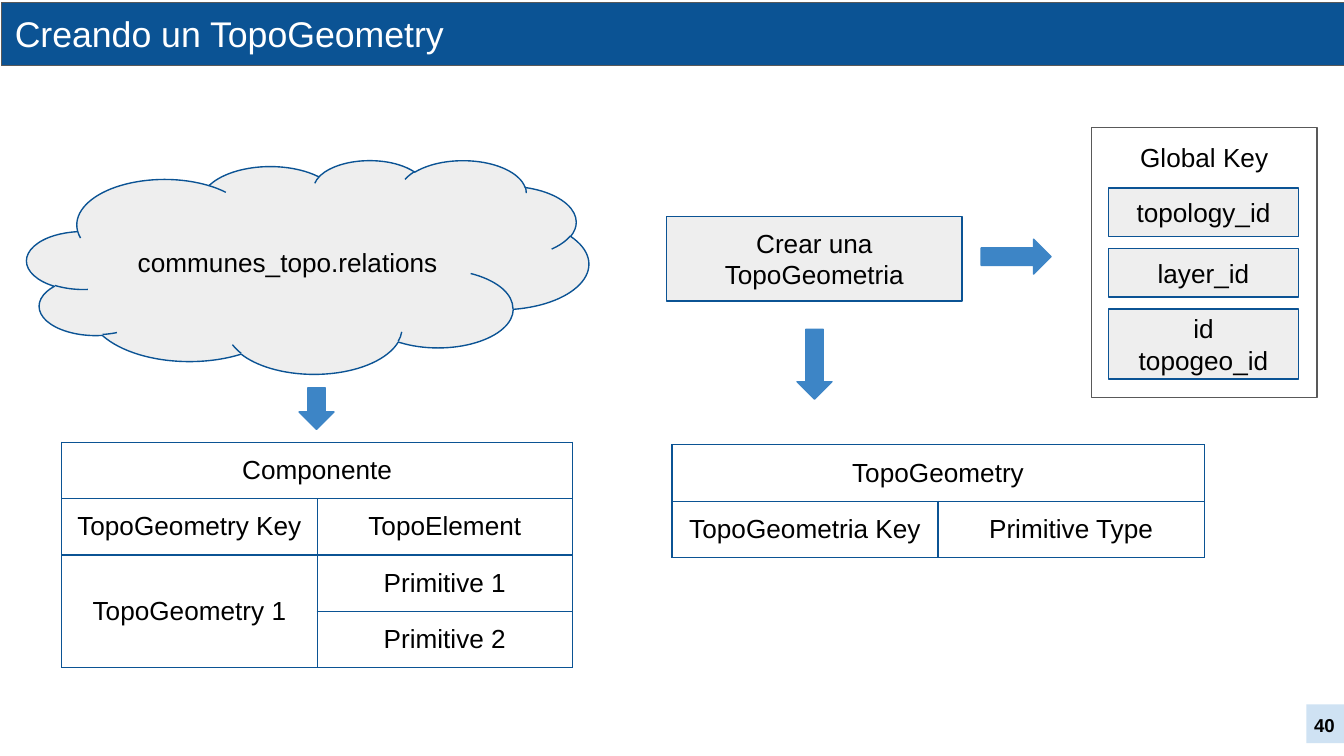
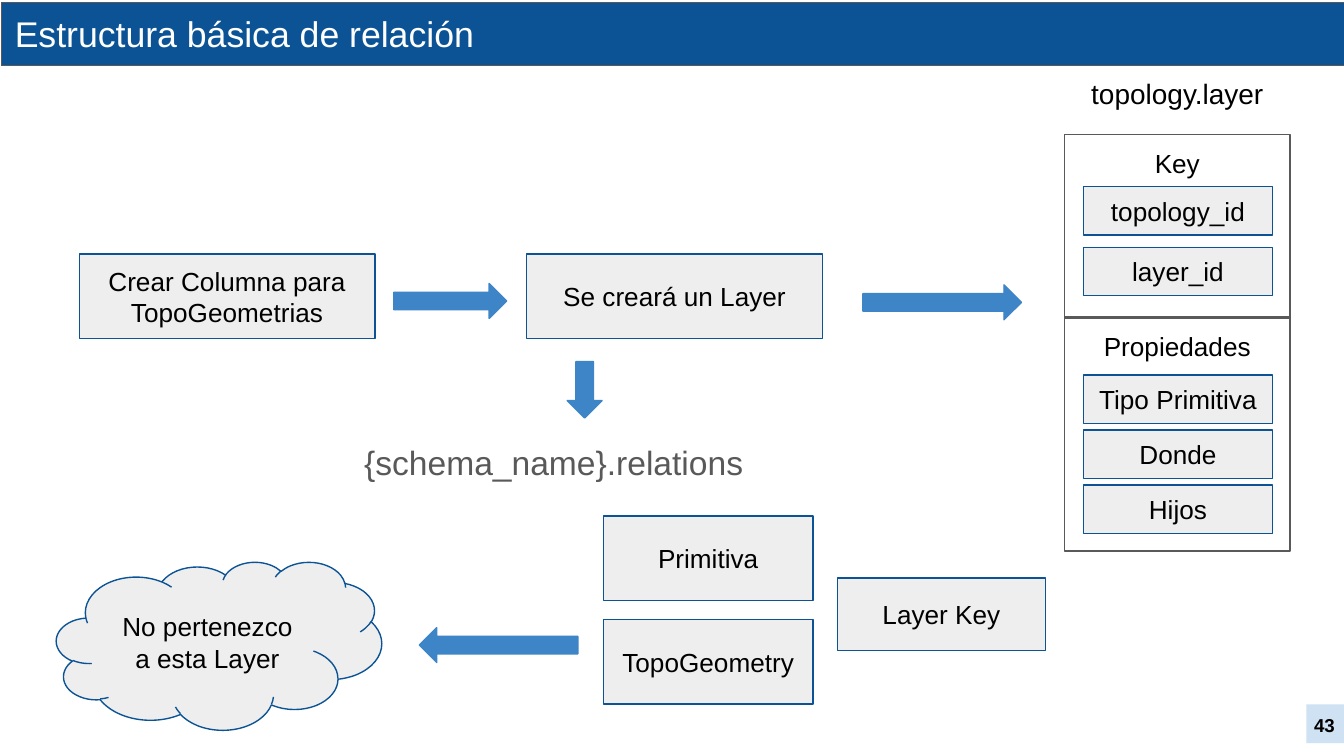
from lxml.etree import SubElement
from pptx import Presentation
from pptx.dml.color import RGBColor
from pptx.enum.shapes import MSO_SHAPE
from pptx.enum.text import MSO_ANCHOR, PP_ALIGN
from pptx.oxml.ns import qn
from pptx.util import Inches, Pt

HUES = {
    "navy": "0B5394", "blue": "3D85C6", "pale": "CFE2F3", "light": "EEEEEE",
    "gray": "595959", "black": "000000", "white": "FFFFFF",
}
SIDES = ("left", "top", "right", "bottom")
INSETS = {f"margin_{side}": Inches(0.1) for side in SIDES}
TOP, MID = MSO_ANCHOR.TOP, MSO_ANCHOR.MIDDLE

# kind: preset, fill, line, anchor
KINDS = {
    "frame": (MSO_SHAPE.RECTANGLE, None, "gray", TOP),
    "box": (MSO_SHAPE.RECTANGLE, "light", "navy", MID),
    "cloud": (MSO_SHAPE.CLOUD, "light", "navy", MID),
    "arrow": (MSO_SHAPE.RIGHT_ARROW, "blue", "blue", MID),
    "band": (MSO_SHAPE.RECTANGLE, "navy", "gray", MID),
    "tab": (MSO_SHAPE.RECTANGLE, "pale", None, MID),
    "label": (None, None, None, TOP),
    "page": (None, None, None, MID),
}


def write(host, frame, text, anchor=MID, size=14, hue="black",
          align=PP_ALIGN.CENTER, bold=False):
    """Fill frame with text; host (a cell or the frame) holds insets and anchor."""
    for name, value in {**INSETS, "vertical_anchor": anchor}.items():
        setattr(host, name, value)
    frame.text = text
    for para in frame.paragraphs:
        para.alignment = align
        for name, value in {"name": "Arial", "size": Pt(size), "bold": bold}.items():
            setattr(para.font, name, value)
        para.font.color.rgb = RGBColor.from_string(HUES[hue])


def draw(slide, kind, at, text="", turn=0, **style):
    preset, fill, line, anchor = KINDS[kind]
    area = [Inches(n) for n in at]
    if preset is None:
        shape = slide.shapes.add_textbox(*area)
    else:
        shape = slide.shapes.add_shape(preset, *area)
        shape.shadow.inherit = False
        shape.rotation = turn
        for part, hue in ((shape.fill, fill), (shape.line.fill, line)):
            if hue:
                part.solid()
                part.fore_color.rgb = RGBColor.from_string(HUES[hue])
            else:
                part.background()
        if line:
            shape.line.width = Pt(0.75)
    if text:
        shape.text_frame.word_wrap = True
        write(shape.text_frame, shape.text_frame, text, anchor, **style)


# Each item: kind, place, text, turn, text style
make = [
    ("frame", (8.12, 0.95, 1.68, 2.01), "Global Key", 0, {}),
    ("box", (4.96, 1.61, 2.2, 0.63), "Crear una TopoGeometria", 0, {}),
    ("cloud", (0.2, 1.19, 4.18, 1.59), "communes_topo.relations", 0, {}),
    ("box", (8.25, 2.3, 1.41, 0.52), "id\ntopogeo_id", 0, {}),
    ("arrow", (7.3, 1.78, 0.52, 0.26), "", 0, {}),
    ("arrow", (5.8, 2.58, 0.52, 0.26), "", 90, {}),
    ("arrow", (2.2, 2.91, 0.31, 0.26), "", 90, {}),
]
make += [("box", (8.25, 1.4 + 0.45 * i, 1.41, 0.36), text, 0, {})
         for i, text in enumerate(("topology_id", "layer_id"))]

base = [
    ("frame", (7.92, 1, 1.68, 1.37), "Key", 0, {}),
    ("frame", (7.92, 2.36, 1.68, 1.74), "Propiedades", 0, {}),
    ("label", (7.87, 0.47, 1.78, 0.45), "topology.layer", 0, {"size": 15}),
    ("label", (2.26, 3.19, 3.72, 0.5), "{schema_name}.relations", 0,
     {"size": 18, "hue": "gray"}),
    ("box", (0.59, 1.89, 2.2, 0.63), "Crear Columna para TopoGeometrias", 0, {}),
    ("box", (3.92, 1.89, 2.2, 0.63), "Se creará un Layer", 0, {}),
    ("box", (4.49, 3.84, 1.56, 0.63), "Primitiva", 0, {}),
    ("box", (4.49, 4.61, 1.56, 0.63), "TopoGeometry", 0, {}),
    ("box", (6.23, 4.3, 1.55, 0.54), "Layer Key", 0, {}),
    ("cloud", (0.42, 4.18, 2.42, 1.25), "No pertenezco a esta Layer", 0, {}),
    ("arrow", (3.12, 4.67, 1.18, 0.26), "", 180, {}),
    ("arrow", (6.42, 2.12, 1.18, 0.26), "", 0, {}),
    ("arrow", (2.93, 2.11, 0.84, 0.26), "", 0, {}),
    ("arrow", (4.14, 2.77, 0.42, 0.26), "", 90, {}),
]
for top, step, names in (
    (1.39, 0.45, ("topology_id", "layer_id")),
    (2.79, 0.41, ("Tipo Primitiva", "Donde", "Hijos")),
):
    base += [("box", (8.06, top + step * i, 1.41, 0.36), text, 0, {})
             for i, text in enumerate(names)]

# Each grid: left, top, column width, rows, merged corners
grids = [
    (5, 3.31, 1.98,
     [["TopoGeometry", ""], ["TopoGeometria Key", "Primitive Type"]],
     [((0, 0), (0, 1))]),
    (0.46, 3.29, 1.9,
     [["Componente", ""], ["TopoGeometry Key", "TopoElement"],
      ["TopoGeometry 1", "Primitive 1"], ["", "Primitive 2"]],
     [((0, 0), (0, 1)), ((2, 0), (3, 0))]),
]

deck = Presentation()
deck.slide_width = Inches(10)
deck.slide_height = deck.slide_width * 9 // 16

for head, page, items, tables in (
    ("Creando un TopoGeometry", "40", make, grids),
    ("Estructura básica de relación", "43", base, []),
):
    slide = deck.slides.add_slide(deck.slide_layouts[5])
    for kind, at, text, turn, style in items:
        draw(slide, kind, at, text, turn, **style)

    for left, top, width, rows, merged in tables:
        table = slide.shapes.add_table(
            len(rows), 2, Inches(left), Inches(top),
            Inches(2 * width), Inches(0.42 * len(rows))).table
        table.first_row = table.horz_banding = False
        for first, last in merged:
            table.cell(*first).merge(table.cell(*last))
        for r, row in enumerate(rows):
            for c, text in enumerate(row):
                cell = table.cell(r, c)
                write(cell, cell.text_frame, text)
                props = cell._tc.get_or_add_tcPr()
                for side in "LRTB":
                    edge = SubElement(props, qn(f"a:ln{side}"), w=str(Pt(0.75)))
                    fill = SubElement(edge, qn("a:solidFill"))
                    SubElement(fill, qn("a:srgbClr"), val=HUES["navy"])
                cell.fill.background()

    draw(slide, "band", (0.01, 0.02, 10, 0.47))
    title = slide.shapes.title
    area = {"left": 0.01, "top": -0.01, "width": 10, "height": 0.33}
    for name, value in area.items():
        setattr(title, name, Inches(value))
    write(title.text_frame, title.text_frame, head, TOP, 19.1, "white", PP_ALIGN.LEFT)
    slide.shapes._spTree.append(title._element)  # bring in front of the band
    draw(slide, "tab", (9.72, 5.24, 0.28, 0.29))
    draw(slide, "page", (9.43, 5.18, 0.6, 0.43), page,
         size=10, align=PP_ALIGN.RIGHT, bold=True)

deck.save("out.pptx")
